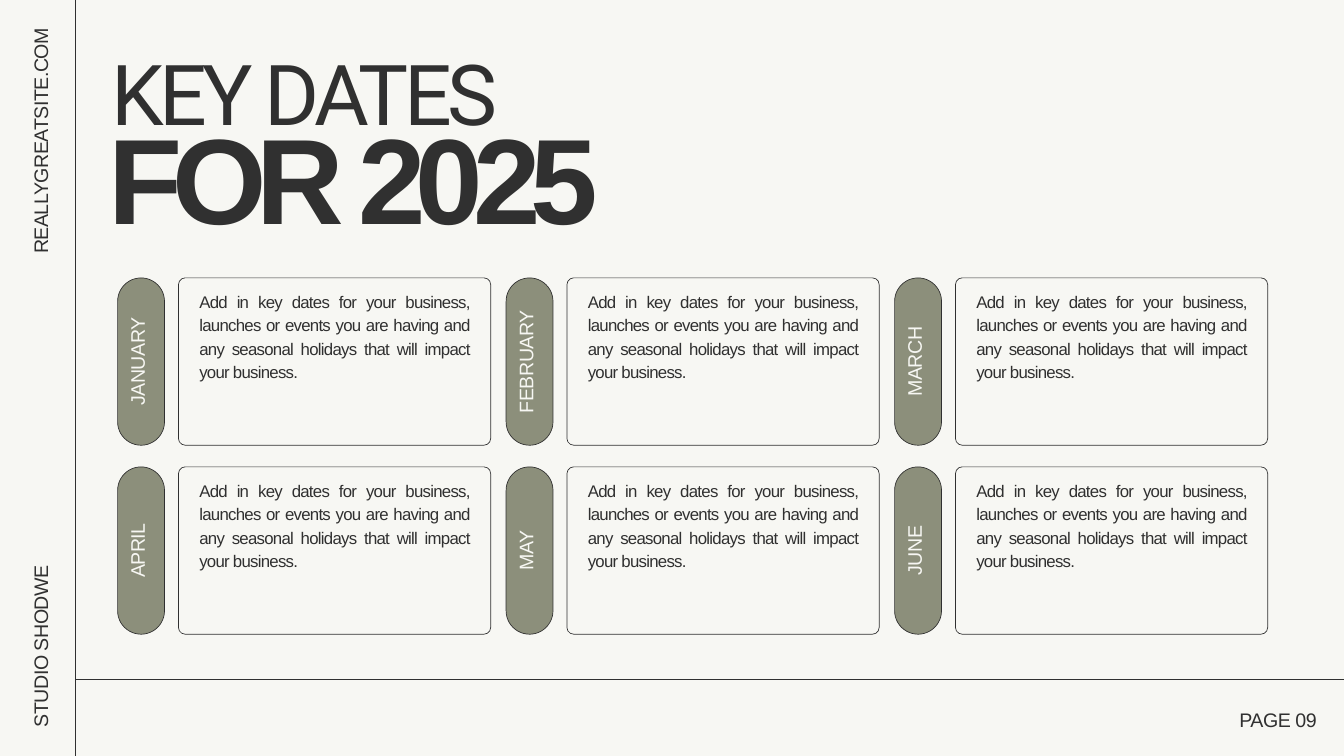
from pptx import Presentation
from pptx import util as u
from pptx.dml.color import RGBColor
from pptx.enum import shapes, text
from pptx.oxml.ns import qn
from lxml import etree

PX = 9525
INK, PAPER, SAGE = "303030", "F7F7F3", "8C8F7B"
LEFT, RIGHT = text.PP_ALIGN.LEFT, text.PP_ALIGN.RIGHT
MID, FULL = text.PP_ALIGN.CENTER, text.PP_ALIGN.JUSTIFY
MONTHS = ["JANUARY", "FEBRUARY", "MARCH", "APRIL", "MAY", "JUNE"]
NOTE = ("Add in key dates for your business, launches or events you are having "
        "and any seasonal holidays that will impact your business.")


def px(n):
    return u.Emu(round(n * PX))


def color(fmt, code):
    fmt.rgb = RGBColor.from_string(code)


def write(shape, words, size=21, lead=29.4, space=-0.5, font="Arial", ink=INK,
          bold=False, align=LEFT, anchor=text.MSO_ANCHOR.TOP, pad=(0, 0, 0, 0)):
    """Fill a shape with one paragraph; pad is left, top, right, bottom in px."""
    frame = shape.text_frame
    frame.word_wrap = True
    frame.auto_size = text.MSO_AUTO_SIZE.NONE
    frame.vertical_anchor = anchor
    frame.margin_left, frame.margin_top, frame.margin_right, frame.margin_bottom = map(px, pad)
    para = frame.paragraphs[0]
    para.alignment = align
    para.line_spacing = u.Pt(lead)
    run = para.add_run()
    run.text = words
    run.font.size, run.font.name, run.font.bold = u.Pt(size), font, bold
    color(run.font.color, ink)
    run._r.get_or_add_rPr().set("spc", str(round(space * 100)))


def place(shape, x, y, w, h):
    shape.left, shape.top, shape.width, shape.height = map(px, (x, y, w, h))


def stand(shape, x, y, w, h):
    """Turn a shape to read upwards inside the upright area x, y, w, h."""
    place(shape, x + (w - h) / 2, y + (h - w) / 2, h, w)
    shape.rotation = 270


def label(slide, words, x, y, w, h, **style):
    box = slide.shapes.add_textbox(px(x), px(y), px(w), px(h))
    write(box, words, **style)
    return box


def rule(slide, x1, y1, x2, y2):
    line = slide.shapes.add_connector(shapes.MSO_CONNECTOR.STRAIGHT,
                                      px(x1), px(y1), px(x2), px(y2))
    color(line.line.color, INK)
    line.line.width = u.Pt(0.75)
    etree.SubElement(line._element.spPr, qn("a:effectLst"))


def panel(slide, x, y, w, h, curve, fill=None):
    shape = slide.shapes.add_shape(shapes.MSO_SHAPE.ROUNDED_RECTANGLE,
                                   px(x), px(y), px(w), px(h))
    shape.adjustments[0] = curve
    shape.shadow.inherit = False
    if fill:
        shape.fill.solid()
        color(shape.fill.fore_color, fill)
    else:
        shape.fill.background()
    color(shape.line.color, INK)
    shape.line.width = u.Pt(0.75)
    return shape


def month(slide, name, x, y):
    high = 239
    pill = panel(slide, x, y, 67, high, 0.5, SAGE)
    stand(pill, x, y, 67, high)
    write(pill, name, ink=PAPER, align=MID, anchor=text.MSO_ANCHOR.MIDDLE, pad=(6, 0, 6, 17))
    card = panel(slide, x + 87, y, 446, high, 0.04)
    write(card, NOTE, size=18, lead=25.2, space=-0.8, align=FULL, pad=(27, 12, 27, 12))


def main():
    deck = Presentation()
    deck.slide_width, deck.slide_height = px(1920), px(1080)
    slide = deck.slides.add_slide(deck.slide_layouts[5])
    slide.background.fill.solid()
    color(slide.background.fill.fore_color, PAPER)

    rule(slide, 108, 0, 108, 1080)
    rule(slide, 108, 971, 1920, 971)

    title = slide.shapes.title
    place(title, 159, 119, 1136, 109)
    write(title, "KEY DATES", size=90, lead=63, space=-5, font="Roboto")
    label(slide, "FOR 2025", 155, 226, 1138, 149, size=130, lead=97.5, space=-10.7, bold=True)

    for i, name in enumerate(MONTHS):
        row, col = divmod(i, 3)
        month(slide, name, 168 + col * 555, 397 + row * 270)

    site = label(slide, "REALLYGREATSITE.COM", 0, 0, 347, 38, align=RIGHT)
    stand(site, 35, 40, 38, 347)
    studio = label(slide, "STUDIO SHODWE", 0, 0, 279, 38)
    stand(studio, 35, 760, 38, 279)
    label(slide, "PAGE 09", 1743, 1005, 138, 38, align=RIGHT)

    deck.save("out.pptx")


if __name__ == "__main__":
    main()
